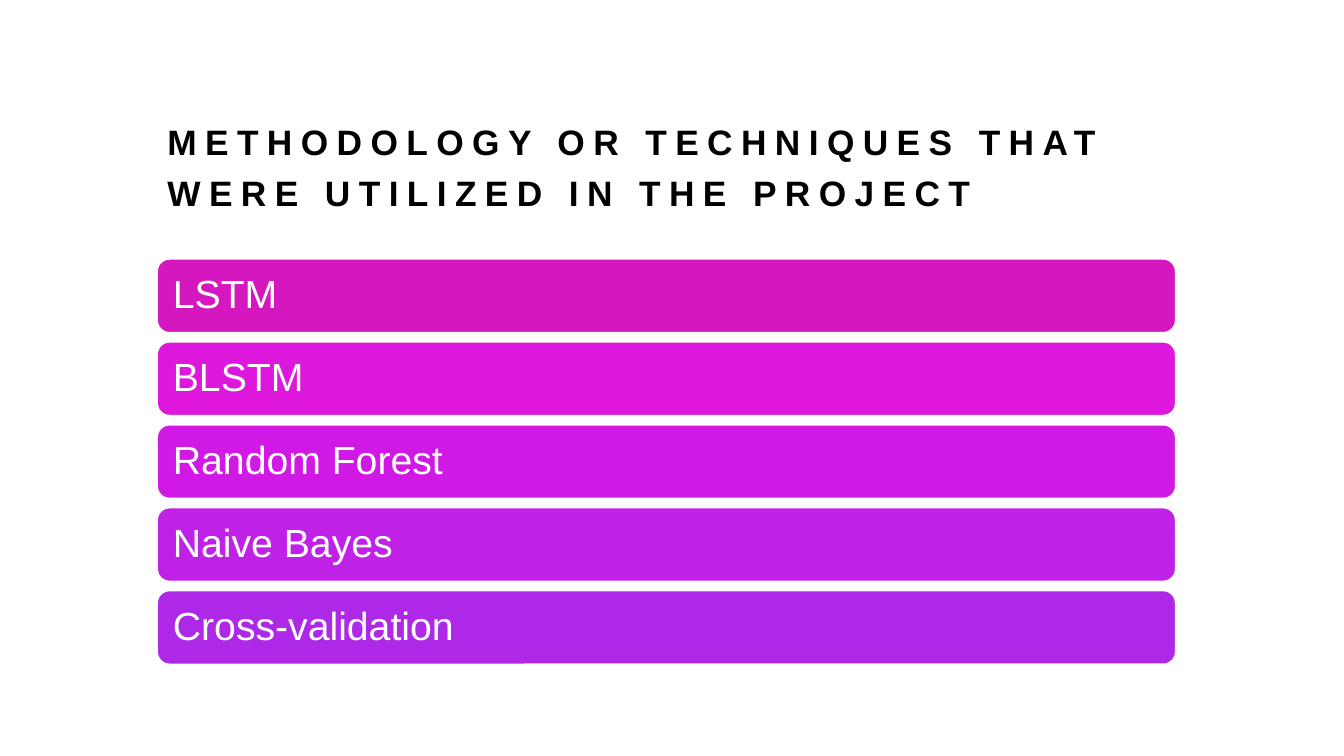
"""Build the slide that lists the project's techniques as coloured bars."""
import dataclasses

import pptx
import pptx.dml.color
import pptx.enum.shapes
import pptx.enum.text
import pptx.util
from pptx.util import Inches


@dataclasses.dataclass(frozen=True)
class Theme:
    """Hold the colours and type sizes of the slide."""
    font: str = "Arial"
    background: str = "FFFFFF"
    title_color: str = "000000"
    bar_text: str = "FFFFFF"
    bar_line: str = "FFFFFF"
    bar_fills: tuple = ("D517C0", "DD18DC", "D119E5", "BF21E6", "AD29E7")
    title_size: float = 25.2
    title_tracking: float = 6
    bar_size: float = 28


THEME = Theme()
TITLE = "METHODOLOGY OR TECHNIQUES THAT WERE UTILIZED IN THE PROJECT"
TECHNIQUES = ("LSTM", "BLSTM", "Random Forest", "Naive Bayes", "Cross-validation")
LEFT, WIDTH = 1.56, 10.1
BARS_TOP, BAR_HEIGHT, BAR_PITCH = 2.57, 0.73, 0.8225
BAR_INSET = 0.12


def rgb(code):
    """Return the colour for a hexadecimal code."""
    return pptx.dml.color.RGBColor.from_string(code)


def write_text(shape, text, size, color, line_spacing, bold=False):
    """Write one left-aligned, vertically centred paragraph and return its run."""
    frame = shape.text_frame
    frame.word_wrap = True
    frame.auto_size = pptx.enum.text.MSO_AUTO_SIZE.NONE
    frame.vertical_anchor = pptx.enum.text.MSO_ANCHOR.MIDDLE
    para = frame.paragraphs[0]
    para.alignment = pptx.enum.text.PP_ALIGN.LEFT
    para.line_spacing = line_spacing
    span = para.add_run()
    span.text = text
    span.font.name = THEME.font
    span.font.size = pptx.util.Pt(size)
    span.font.bold = bold
    span.font.color.rgb = rgb(color)
    return span


def place_title(page):
    """Position the title placeholder and write the letter-spaced heading."""
    title = page.shapes.title
    title.left, title.top = Inches(LEFT), Inches(1.14)
    title.width, title.height = Inches(WIDTH), Inches(0.94)
    span = write_text(title, TITLE, THEME.title_size, THEME.title_color, 1.2, bold=True)
    span._r.get_or_add_rPr().set("spc", str(round(THEME.title_tracking * 100)))


def add_bar(page, top, text, fill):
    """Add one rounded bar with its technique name."""
    bar = page.shapes.add_shape(
        pptx.enum.shapes.MSO_SHAPE.ROUNDED_RECTANGLE,
        Inches(LEFT), Inches(top), Inches(WIDTH), Inches(BAR_HEIGHT))
    bar.shadow.inherit = False
    bar.fill.solid()
    bar.fill.fore_color.rgb = rgb(fill)
    bar.line.color.rgb = rgb(THEME.bar_line)
    bar.line.width = pptx.util.Pt(1)
    frame = bar.text_frame
    frame.margin_left = frame.margin_right = Inches(BAR_INSET)
    frame.margin_top = frame.margin_bottom = Inches(BAR_INSET)
    write_text(bar, text, THEME.bar_size, THEME.bar_text, 0.9)


def main():
    """Build and save the deck."""
    deck = pptx.Presentation()
    deck.slide_width, deck.slide_height = Inches(13.33), Inches(7.5)
    page = deck.slides.add_slide(deck.slide_layouts.get_by_name("Title Only"))
    page.background.fill.solid()
    page.background.fill.fore_color.rgb = rgb(THEME.background)
    place_title(page)
    for row, (technique, fill) in enumerate(zip(TECHNIQUES, THEME.bar_fills)):
        add_bar(page, BARS_TOP + row * BAR_PITCH, technique, fill)
    deck.save("out.pptx")


if __name__ == "__main__":
    main()
